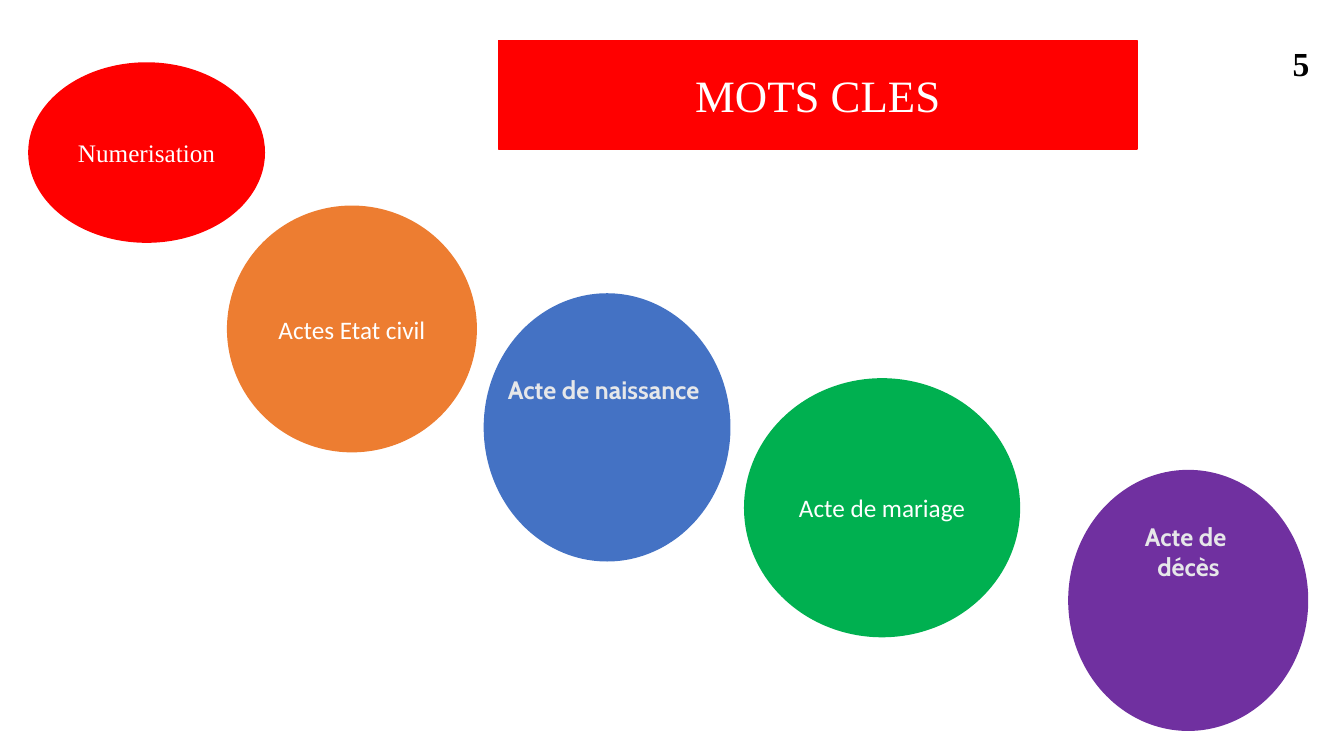
from dataclasses import dataclass

from pptx import Presentation
from pptx.dml.color import RGBColor
from pptx.enum.shapes import MSO_SHAPE
from pptx.enum.text import MSO_ANCHOR, MSO_AUTO_SIZE, PP_ALIGN
from pptx.util import Cm, Pt

OVAL = MSO_SHAPE.OVAL
TOP, MIDDLE = MSO_ANCHOR.TOP, MSO_ANCHOR.MIDDLE
CENTER, RIGHT = PP_ALIGN.CENTER, PP_ALIGN.RIGHT
NO_AUTOFIT = MSO_AUTO_SIZE.NONE
TITLE_ONLY = 5


@dataclass(frozen=True)
class Theme:
    red: str = "FF0000"
    orange: str = "ED7D31"
    blue: str = "4472C4"
    green: str = "00B050"
    purple: str = "7030A0"
    white: str = "FFFFFF"
    pale: str = "E6E7E9"
    black: str = "000000"
    serif: str = "Times New Roman"
    sans: str = "Calibri"
    accent: str = "Cabin"
    title_size: int = 32
    number_size: int = 24
    label_size: int = 18


THEME = Theme()

# Content: boxes are left, top, width, height in centimetres
SLIDE_SIZE = (33.87, 19.05)
TITLE = ("MOTS CLES", (12.57, 1.02, 16.08, 2.74))
PAGE_NUMBER = ("5", (31.88, 1.07, 1.37, 1.02))

# Keywords whose label sits inside the ellipse: text, fill, font, box
PLAIN_KEYWORDS = [
    ("Numerisation", THEME.red, THEME.serif, (0.71, 1.57, 5.97, 4.55)),
    ("Actes Etat civil", THEME.orange, THEME.sans, (5.72, 5.18, 6.3, 6.22)),
    ("Acte de mariage", THEME.green, THEME.sans, (18.75, 9.53, 6.96, 6.53)),
]
# Keywords with a separate label: text, fill, ellipse box, label box
LABELLED_KEYWORDS = [
    ("Acte de naissance", THEME.blue,
     (12.19, 7.39, 6.22, 6.76), (10.77, 9.32, 8.89, 3.45)),
    ("Acte de \ndécès", THEME.purple,
     (26.92, 11.84, 6.05, 6.58), (25.63, 13, 8.64, 3.38)),
]


def to_lengths(box):
    return [Cm(value) for value in box]


def write_text(shape, text, *, font, size, color, bold=False,
               align=CENTER, anchor=MIDDLE):
    frame = shape.text_frame
    frame.word_wrap = True
    frame.auto_size = NO_AUTOFIT
    frame.vertical_anchor = anchor
    frame.text = text
    for paragraph in frame.paragraphs:
        paragraph.alignment = align
        for run in paragraph.runs:
            run.font.name = font
            run.font.size = Pt(size)
            run.font.bold = bold
            run.font.color.rgb = RGBColor.from_string(color)


def paint(shape, color):
    shape.fill.solid()
    shape.fill.fore_color.rgb = RGBColor.from_string(color)


def add_ellipse(shapes, box, color):
    ellipse = shapes.add_shape(OVAL, *to_lengths(box))
    ellipse.shadow.inherit = False
    paint(ellipse, color)
    ellipse.line.fill.background()
    return ellipse


def main():
    presentation = Presentation()
    presentation.slide_width, presentation.slide_height = to_lengths(SLIDE_SIZE)
    slide = presentation.slides.add_slide(presentation.slide_layouts[TITLE_ONLY])
    shapes = slide.shapes

    # Keywords with separate labels, each pair grouped
    for text, color, ellipse_box, label_box in LABELLED_KEYWORDS:
        group = shapes.add_group_shape()
        add_ellipse(group.shapes, ellipse_box, color)
        label = group.shapes.add_textbox(*to_lengths(label_box))
        write_text(label, text, font=THEME.accent, size=THEME.label_size,
                   color=THEME.pale, bold=True, anchor=TOP)

    # Keywords written inside their ellipse
    for text, color, font, box in PLAIN_KEYWORDS:
        ellipse = add_ellipse(shapes, box, color)
        write_text(ellipse, text, font=font, size=THEME.label_size,
                   color=THEME.white)

    # Title banner
    text, box = TITLE
    title = shapes.title
    title.left, title.top, title.width, title.height = to_lengths(box)
    paint(title, THEME.red)
    title.line.color.rgb = RGBColor.from_string(THEME.red)
    title.line.width = Pt(1)
    write_text(title, text, font=THEME.serif, size=THEME.title_size,
               color=THEME.white)

    # Page number
    text, box = PAGE_NUMBER
    number = shapes.add_textbox(*to_lengths(box))
    write_text(number, text, font=THEME.serif, size=THEME.number_size,
               color=THEME.black, bold=True, align=RIGHT)

    presentation.save("out.pptx")


if __name__ == "__main__":
    main()
